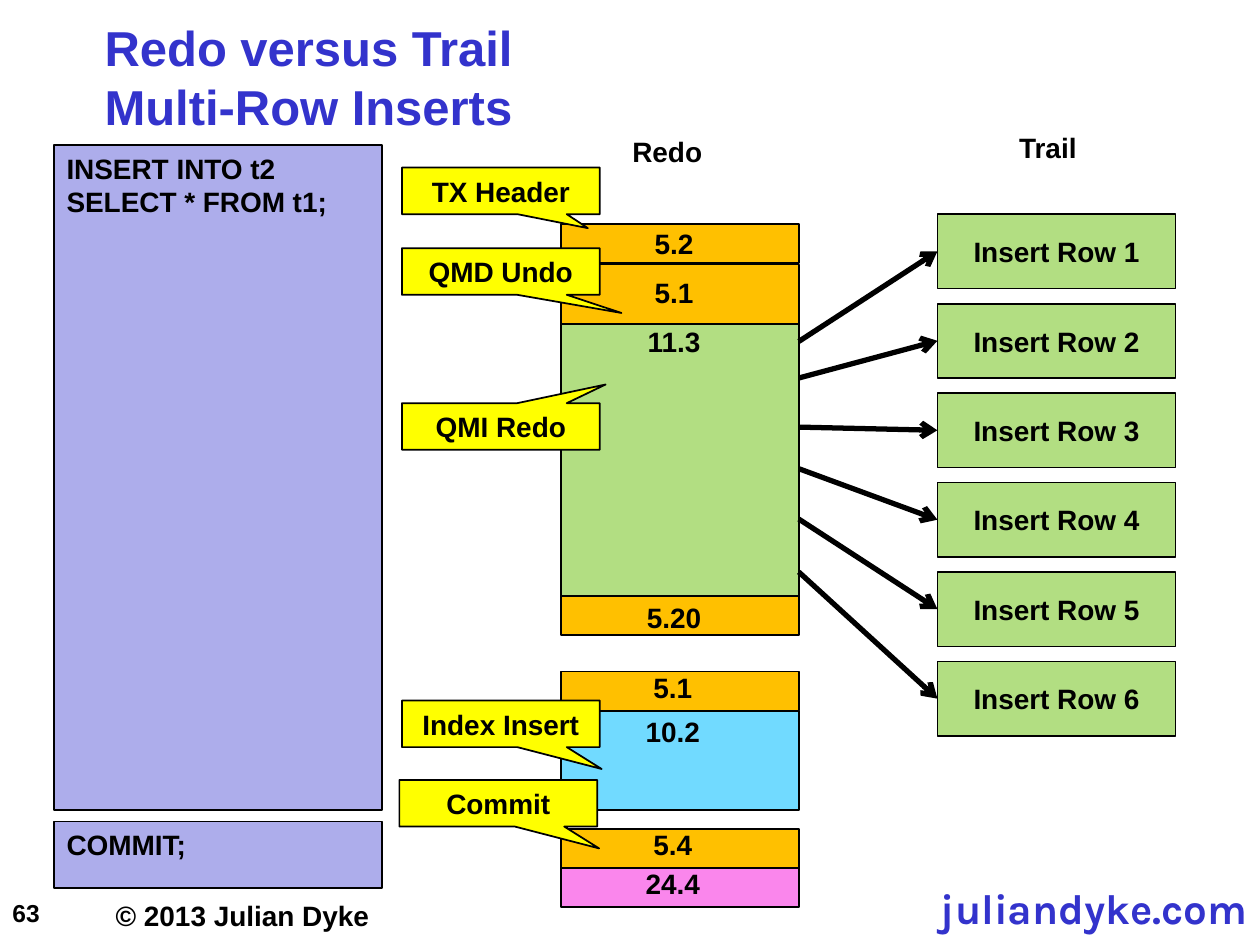
import pptx
import pptx.dml.color
import pptx.enum.shapes
import pptx.enum.text
import pptx.oxml.ns
import pptx.util
from lxml import etree
from pptx.util import Inches

RGBColor = pptx.dml.color.RGBColor
Shapes = pptx.enum.shapes.MSO_SHAPE
Align = pptx.enum.text.PP_ALIGN
Anchor = pptx.enum.text.MSO_ANCHOR

BLACK = RGBColor(0x00, 0x00, 0x00)
BLUE = RGBColor(0x33, 0x33, 0xCC)
LAVENDER = RGBColor(0xAD, 0xAD, 0xEB)
ORANGE = RGBColor(0xFF, 0xC0, 0x00)
GREEN = RGBColor(0xB2, 0xDE, 0x82)
PINK = RGBColor(0xFA, 0x86, 0xEC)
CYAN = RGBColor(0x71, 0xDA, 0xFF)
YELLOW = RGBColor(0xFF, 0xFF, 0x00)

REDO_LEFT, REDO_WIDTH = 4.45, 1.89
TRAIL_LEFT, TRAIL_TOP, TRAIL_PITCH = 7.44, 1.7, 0.71

REDO_RECORDS = [
    ("5.2", 1.78, 0.31, ORANGE, 4.72, 1.75),
    ("11.3", 2.54, 2.36, GREEN, 4.72, 2.53),
    ("5.1", 2.1, 0.47, ORANGE, 4.72, 2.14),
    ("5.20", 4.73, 0.31, ORANGE, 4.72, 4.72),
    ("5.1", 5.33, 0.31, ORANGE, 4.71, 5.27),
    ("10.2", 5.64, 0.79, CYAN, 4.71, 5.62),
    ("5.4", 6.58, 0.31, ORANGE, 4.71, 6.52),
    ("24.4", 6.89, 0.31, PINK, 4.71, 6.83),
]
CALLOUTS = [
    ("TX Header", 3.19, 1.33, 0.44, 0.8),
    ("QMD Undo", 3.19, 1.97, 0.61, 0.89),
    ("QMI Redo", 3.19, 3.2, 0.53, -0.9),
    ("Index Insert", 3.19, 5.56, 0.51, 0.97),
    ("Commit", 3.17, 6.19, 0.51, 0.97),
]
ARROW_STARTS = [2.71, 3, 3.39, 3.72, 4.12, 4.54]


def write_text(shape, text, size=16, color=BLACK, font="Arial",
               align=Align.LEFT, anchor=Anchor.TOP):
    """Fill a shape with bold text, breaking the line at each newline."""
    frame = shape.text_frame
    frame.word_wrap = True
    frame.vertical_anchor = anchor
    para = frame.paragraphs[0]
    para.alignment = align
    for index, line in enumerate(text.split("\n")):
        if index:
            para.add_line_break()
        span = para.add_run()
        span.text = line
        span.font.name = font
        span.font.size = pptx.util.Pt(size)
        span.font.bold = True
        span.font.color.rgb = color
    return frame


def add_label(slide, text, left, top, width, height=0.37, **style):
    """Add a text box and return its text frame."""
    box = slide.shapes.add_textbox(
        Inches(left), Inches(top), Inches(width), Inches(height))
    return write_text(box, text, **style)


def add_block(slide, left, top, width, height, fill, kind=Shapes.RECTANGLE):
    """Add a filled shape with a thin black outline."""
    block = slide.shapes.add_shape(
        kind, Inches(left), Inches(top), Inches(width), Inches(height))
    block.shadow.inherit = False
    block.fill.solid()
    block.fill.fore_color.rgb = fill
    block.line.color.rgb = BLACK
    block.line.width = pptx.util.Pt(1)
    return block


def add_callout(slide, text, left, top, tip_x, tip_y):
    """Add a yellow callout whose tip is offset from its centre."""
    callout = add_block(slide, left, top, 1.57, 0.37, YELLOW,
                        Shapes.RECTANGULAR_CALLOUT)
    callout.adjustments[0] = tip_x
    callout.adjustments[1] = tip_y
    write_text(callout, text, align=Align.CENTER, anchor=Anchor.MIDDLE)


def add_arrow(slide, start_y, target):
    """Add an arrow from the redo column to the left side of a trail row."""
    start = Inches(REDO_LEFT + REDO_WIDTH)
    arrow = slide.shapes.add_connector(
        pptx.enum.shapes.MSO_CONNECTOR.STRAIGHT, start, Inches(start_y),
        target.left, target.top + target.height // 2)
    arrow.end_connect(target, 1)
    arrow.line.color.rgb = BLACK
    arrow.line.width = pptx.util.Pt(3)
    qualified = pptx.oxml.ns.qn
    etree.SubElement(arrow.line._get_or_add_ln(), qualified("a:tailEnd"), type="arrow")
    etree.SubElement(arrow._element.spPr, qualified("a:effectLst"))


def add_statements(slide):
    """Add the two SQL statement panels."""
    for text, top, height in [("INSERT INTO t2\nSELECT * FROM t1;", 1.15, 5.28),
                              ("COMMIT;", 6.52, 0.53)]:
        write_text(add_block(slide, 0.43, top, 2.6, height, LAVENDER), text)


def add_redo(slide):
    """Add the redo records with their labels and callouts."""
    add_label(slide, "Redo", 4.92, 1.02, 1.02)
    for text, top, height, fill, label_left, label_top in REDO_RECORDS:
        add_block(slide, REDO_LEFT, top, REDO_WIDTH, height, fill)
        add_label(slide, text, label_left, label_top, 1.26, align=Align.CENTER)
    for callout in CALLOUTS:
        add_callout(slide, *callout)


def add_trail(slide):
    """Add the trail rows and the arrows that lead to them."""
    add_label(slide, "Trail", 7.99, 0.99, 1.02)
    for index, start_y in enumerate(ARROW_STARTS):
        row = add_block(slide, TRAIL_LEFT, TRAIL_TOP + index * TRAIL_PITCH,
                        1.89, 0.59, GREEN)
        write_text(row, f"Insert Row {index + 1}",
                   align=Align.CENTER, anchor=Anchor.MIDDLE)
        add_arrow(slide, start_y, row)


def add_title_and_footer(slide):
    """Add the title, slide number, copyright line and web address."""
    title = add_label(slide, "Redo versus Trail\nMulti-Row Inserts",
                      0.83, 0.08, 8.75, 0.99, size=28, color=BLUE,
                      anchor=Anchor.BOTTOM)
    title.margin_left = title.margin_right = title.margin_bottom = 0
    number = add_label(slide, "63", 0, 7.08, 0.42, 0.33, size=14,
                       anchor=Anchor.MIDDLE)
    number.word_wrap = False
    notice = add_label(slide, "© 2013 Julian Dyke", 0.82, 7.08, 2.23)
    notice.word_wrap = False
    address = add_label(slide, "juliandyke.com", 6.81, 7.03, 3.19, 0.42,
                        size=24, color=BLUE, font="Karla", align=Align.RIGHT)
    address.paragraphs[0].line_spacing = 0.8


def main():
    """Build the slide and save the deck."""
    deck = pptx.Presentation()
    deck.slide_width, deck.slide_height = Inches(10), Inches(7.5)
    slide = deck.slides.add_slide(deck.slide_layouts[6])
    add_title_and_footer(slide)
    add_statements(slide)
    add_redo(slide)
    add_trail(slide)
    deck.save("out.pptx")


if __name__ == "__main__":
    main()
